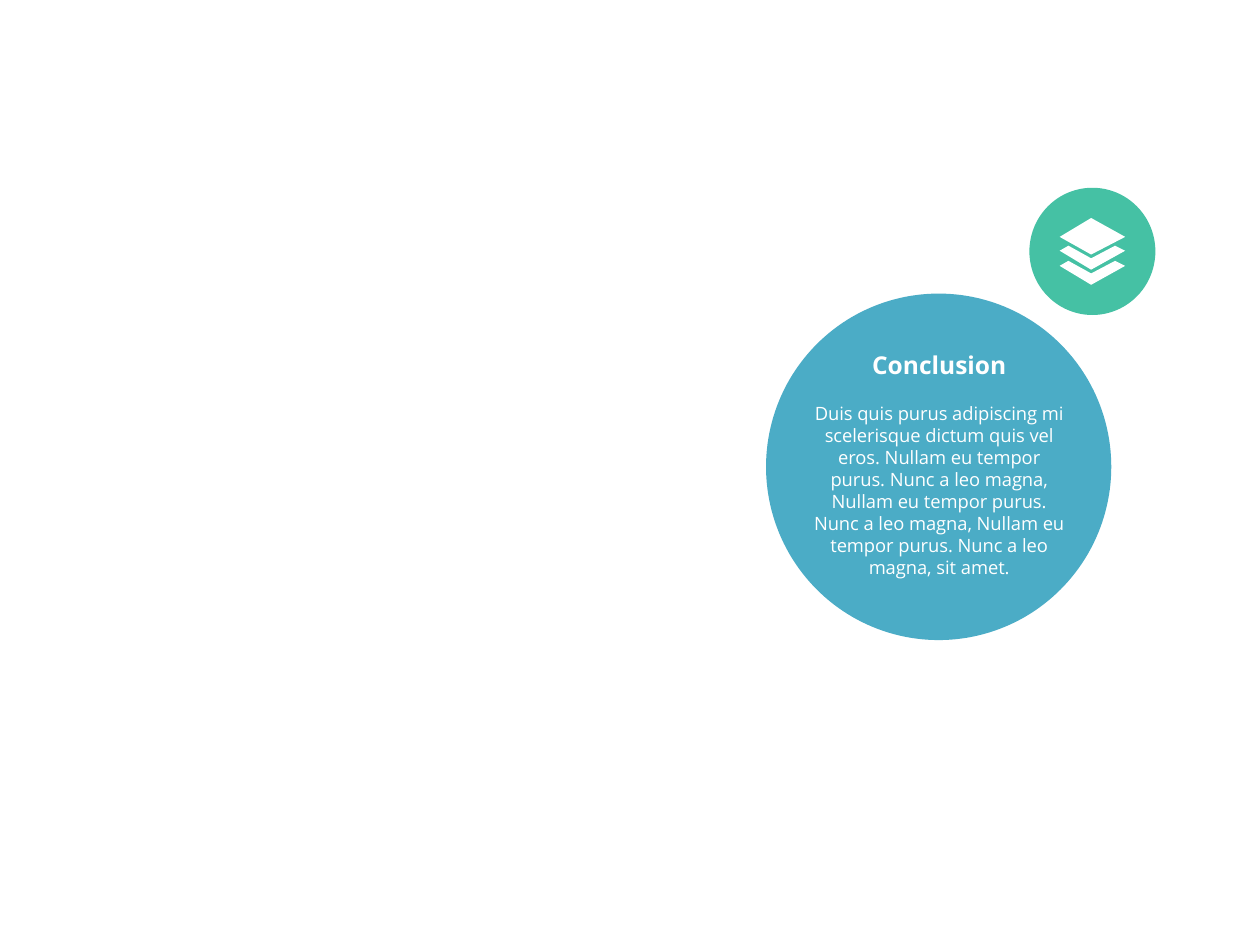
from pptx import Presentation
from pptx.dml.color import RGBColor
from pptx.enum import shapes, text
from pptx.util import Inches, Pt

BLUE = RGBColor(0x4B, 0xAC, 0xC6)
GREEN = RGBColor(0x45, 0xC1, 0xA4)
WHITE = RGBColor(0xFF, 0xFF, 0xFF)

BODY = (
    "Duis quis purus adipiscing mi scelerisque dictum quis vel eros. "
    "Nullam eu tempor purus. Nunc a leo magna, Nullam eu tempor purus. "
    "Nunc a leo magna, Nullam eu tempor purus. Nunc a leo magna, sit amet."
)


def write(para, words, size=10.5, bold=False, color=WHITE, font="Open Sans", gap=0):
    para.alignment = text.PP_ALIGN.CENTER
    para.space_before = Pt(gap)
    run = para.add_run()
    run.text = words
    run.font.name = font
    run.font.size = Pt(size)
    run.font.bold = bold
    run.font.color.rgb = color


class Page:
    def __init__(self, slide):
        self.slide = slide

    def paint(self, shape, color):
        shape.shadow.inherit = False
        shape.fill.solid()
        shape.fill.fore_color.rgb = color
        shape.line.fill.background()

    def disc(self, left, top, width, height, color):
        box = [Inches(v) for v in (left, top, width, height)]
        shape = self.slide.shapes.add_shape(shapes.MSO_SHAPE.OVAL, *box)
        self.paint(shape, color)

    def layer(self, group, points, top=0, color=WHITE):
        """Add one closed outline to the icon, moved down by top."""
        spots = [(Inches(x), Inches(y + top)) for x, y in points]
        pen = group.shapes.build_freeform(*spots[0], scale=1.0)
        pen.add_line_segments(spots[1:], close=True)
        self.paint(pen.convert_to_shape(), color)

    def stack(self):
        group = self.slide.shapes.add_group_shape()
        fold = [(8.66, 0.1), (8.48, 0), (8.41, 0.04),
                (8.66, 0.19), (8.93, 0.04), (8.85, 0)]
        for top in (1.95, 2.07):
            self.layer(group, fold, top)
        self.layer(group, [(8.93, 1.88), (8.66, 1.73), (8.41, 1.88), (8.66, 2.02)])

    def note(self, left, top, width, height, title, body):
        box = [Inches(v) for v in (left, top, width, height)]
        frame = self.slide.shapes.add_textbox(*box).text_frame
        frame.word_wrap = True
        frame.auto_size = text.MSO_AUTO_SIZE.SHAPE_TO_FIT_TEXT
        frame.margin_left = frame.margin_right = Inches(0.05)
        frame.margin_top = frame.margin_bottom = Inches(0.03)
        write(frame.paragraphs[0], title, size=14, bold=True)
        write(frame.add_paragraph(), body, gap=12.65)


def main():
    deck = Presentation()
    deck.slide_width, deck.slide_height = Inches(10), Inches(7.5)
    page = Page(deck.slides.add_slide(deck.slide_layouts[6]))
    page.disc(6.08, 2.33, 2.74, 2.75, BLUE)
    page.disc(8.17, 1.49, 1, 1.01, GREEN)
    page.stack()
    page.note(6.39, 2.75, 2.13, 1.88, "Conclusion", BODY)
    deck.save("out.pptx")


if __name__ == "__main__":
    main()
